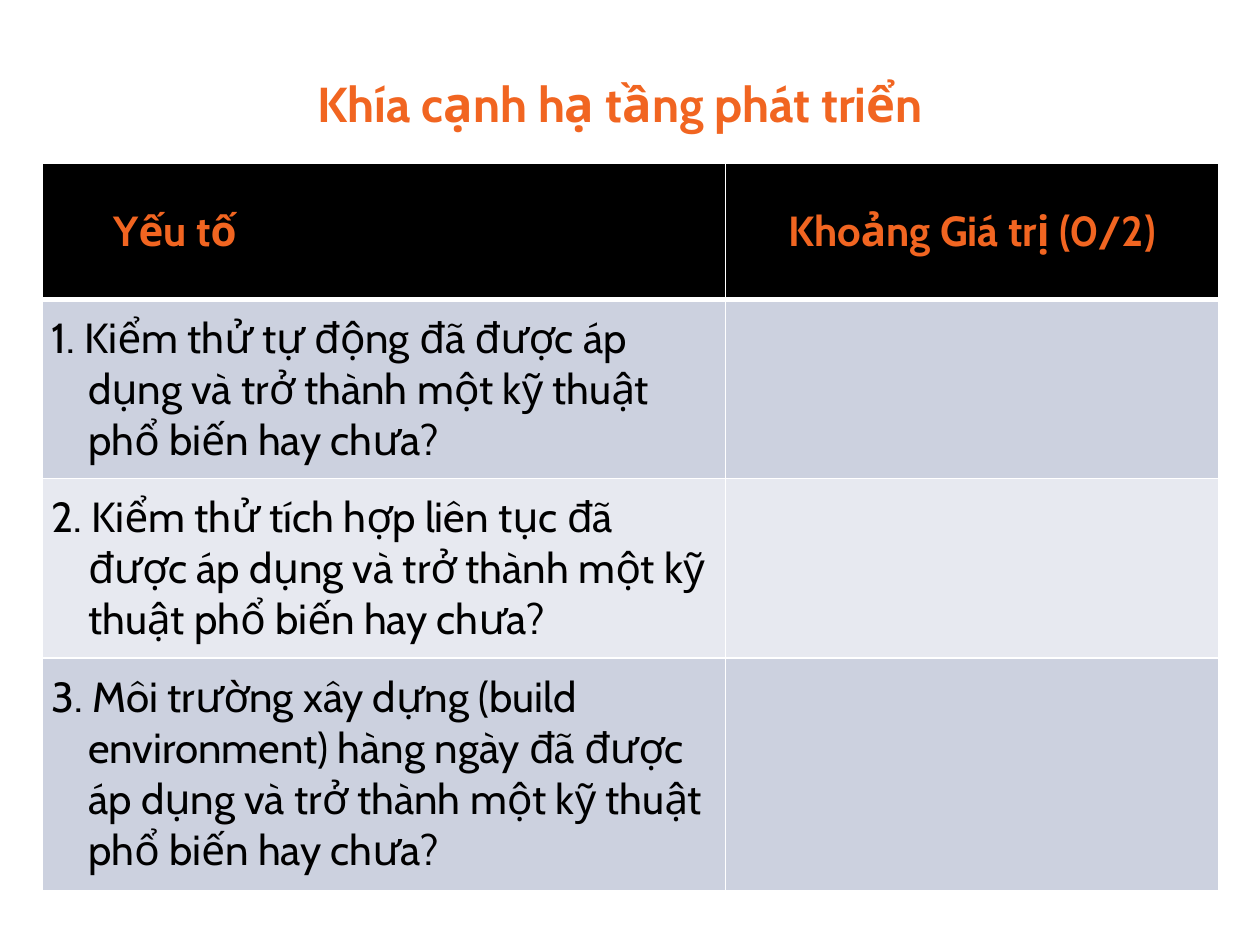
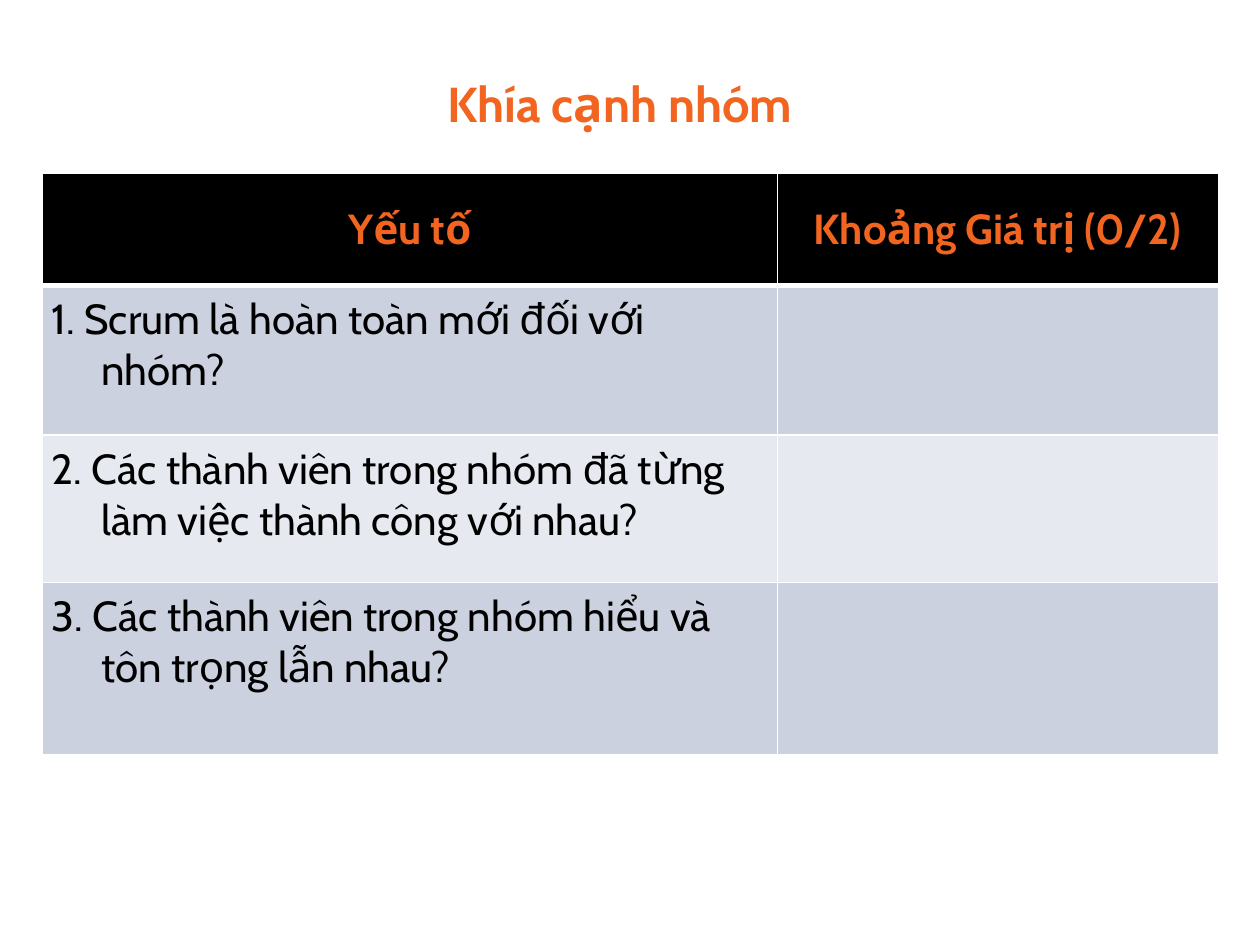
"""Build two slides that score the infrastructure and team aspects of a project."""
from lxml import etree
from pptx import Presentation
from pptx import util as u
from pptx.dml.color import RGBColor
from pptx.enum import text
from pptx.oxml import ns

ORANGE = RGBColor(0xF1, 0x65, 0x21)
BLACK = RGBColor(0x00, 0x00, 0x00)
WHITE = RGBColor(0xFF, 0xFF, 0xFF)
BANDS = [RGBColor(0xCC, 0xD1, 0xDF), RGBColor(0xE7, 0xE9, 0xF0)]
FONT = "Cabin"
MIDDLE, TOP = text.MSO_ANCHOR.MIDDLE, text.MSO_ANCHOR.TOP
CENTER, LEFT = text.PP_ALIGN.CENTER, text.PP_ALIGN.LEFT
VALUE_HEADING = "Khoảng Giá trị (0/2)"

ASPECTS = [
    dict(
        title="Khía cạnh hạ tầng phát triển",
        top=3.3, columns=[13.77, 9.93], rows=[2.74, 3.61, 3.61, 4.7],
        heading_align=LEFT, heading_indent=(1, 0.25),
        factor_anchor=MIDDLE, hanging=0.74,
        factors=[
            "1. Kiểm thử tự động đã được áp dụng và trở thành một kỹ thuật phổ biến hay chưa?",
            "2. Kiểm thử tích hợp liên tục đã được áp dụng và trở thành một kỹ thuật phổ biến hay chưa?",
            "3. Môi trường xây dựng (build environment) hàng ngày đã được áp dụng và trở thành "
            "một kỹ thuật phổ biến hay chưa?",
        ],
    ),
    dict(
        title="Khía cạnh nhóm",
        top=3.49, columns=[14.81, 8.89], rows=[2.26, 3.02, 2.97, 3.48],
        heading_align=CENTER, heading_indent=(0, 0),
        factor_anchor=TOP, hanging=1,
        factors=[
            "1. Scrum là hoàn toàn mới đối với nhóm?",
            "2. Các thành viên trong nhóm đã từng làm việc thành công với nhau?",
            "3. Các thành viên trong nhóm hiểu và tôn trọng lẫn nhau?",
        ],
    ),
]


def write(paragraph, words, size, color, bold, align, indent=(0, 0)):
    run = paragraph.add_run()
    run.text = words
    run.font.name = FONT
    run.font.size = u.Pt(size)
    run.font.bold = bold
    run.font.color.rgb = color
    paragraph.alignment = align
    properties = paragraph._p.get_or_add_pPr()
    for key, length in zip(("marL", "indent"), indent):
        properties.set(key, str(u.Cm(length)))


def paint(cell, color, borders):
    cell.fill.solid()
    cell.fill.fore_color.rgb = color
    cell.margin_left = cell.margin_right = u.Cm(0.18)
    cell.margin_top = cell.margin_bottom = u.Cm(0.18)
    properties = cell._tc.get_or_add_tcPr()
    for position, (side, width) in enumerate(borders.items()):
        line = etree.Element(ns.qn(f"a:ln{side}"), w=str(u.Pt(width)))
        solid = etree.SubElement(line, ns.qn("a:solidFill"))
        etree.SubElement(solid, ns.qn("a:srgbClr"), val=str(WHITE))
        properties.insert(position, line)


deck = Presentation()
deck.slide_width, deck.slide_height = u.Cm(25.4), u.Cm(19.05)

for aspect in ASPECTS:
    slide = deck.slides.add_slide(deck.slide_layouts[5])
    slide.background.fill.solid()
    slide.background.fill.fore_color.rgb = WHITE

    title = slide.shapes.title
    title.left, title.top = u.Cm(0.43), u.Cm(1.07)
    title.width, title.height = u.Cm(24.13), u.Cm(1.9)
    title.text_frame.auto_size = text.MSO_AUTO_SIZE.NONE
    title.text_frame.vertical_anchor = MIDDLE
    heading = title.text_frame.paragraphs[0]
    heading.line_spacing = 1.1
    heading.space_before = u.Pt(6)
    write(heading, aspect["title"], 28, ORANGE, True, CENTER)

    scores = slide.shapes.add_table(
        len(aspect["rows"]), len(aspect["columns"]), u.Cm(0.86), u.Cm(aspect["top"]),
        u.Cm(sum(aspect["columns"])), u.Cm(sum(aspect["rows"])),
    ).table
    for column, width in zip(scores.columns, aspect["columns"]):
        column.width = u.Cm(width)
    for number, height in enumerate(aspect["rows"]):
        scores.rows[number].height = u.Cm(height)
        color = BANDS[(number - 1) % 2] if number else BLACK
        borders = {"L": 1, "R": 1, "T": 3 if number == 1 else 1, "B": 1 if number else 3}
        for cell in scores.rows[number].cells:
            paint(cell, color, borders)
            cell.vertical_anchor = aspect["factor_anchor"] if number else MIDDLE

    factor_heading, value_heading = (cell.text_frame.paragraphs[0] for cell in scores.rows[0].cells)
    write(factor_heading, "Yếu tố", 24, ORANGE, True,
          aspect["heading_align"], aspect["heading_indent"])
    write(value_heading, VALUE_HEADING, 24, ORANGE, True, CENTER)
    for number, factor in enumerate(aspect["factors"], 1):
        write(scores.cell(number, 0).text_frame.paragraphs[0], factor, 24, BLACK, False,
              LEFT, (aspect["hanging"], -aspect["hanging"]))

deck.save("out.pptx")
